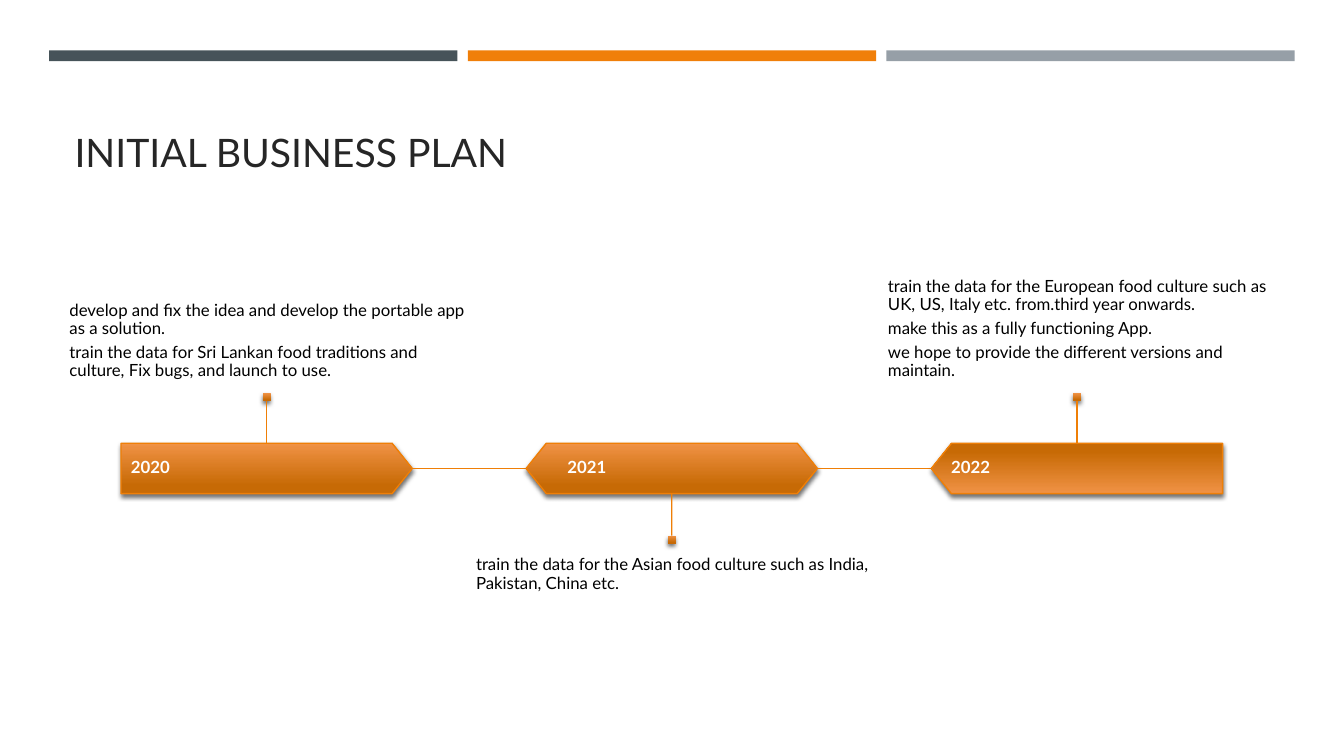
import pptx
import pptx.util
import pptx.dml.color
import pptx.enum.shapes
import pptx.enum.text
import pptx.oxml
import pptx.oxml.ns

Cm, Pt = pptx.util.Cm, pptx.util.Pt
SHAPE = pptx.enum.shapes.MSO_SHAPE
ANCHOR = pptx.enum.text.MSO_ANCHOR
STRAIGHT = pptx.enum.shapes.MSO_CONNECTOR.STRAIGHT
ORANGE = "EF7F07"


def rgb(value):
    return pptx.dml.color.RGBColor.from_string(value)


def add_text(paragraphs, left, top, width, height, margins, anchor, size,
             color="000000", bold=False, spacing=0.9):
    """Add a wrapped text box; margins are (horizontal, vertical) in cm."""
    box = slide.shapes.add_textbox(Cm(left), Cm(top), Cm(width), Cm(height))
    frame = box.text_frame
    frame.word_wrap = True
    frame.vertical_anchor = anchor
    frame.margin_left = frame.margin_right = Cm(margins[0])
    frame.margin_top = frame.margin_bottom = Cm(margins[1])
    frame.text = "\n".join(paragraphs)
    for number, paragraph in enumerate(frame.paragraphs):
        paragraph.line_spacing = spacing
        paragraph.space_before = Pt(4.2 if number else 0)
        paragraph.font.name = "Lato"
        paragraph.font.size = Pt(size)
        paragraph.font.bold = bold
        paragraph.font.color.rgb = rgb(color)
    return frame


prs = pptx.Presentation()
prs.slide_width, prs.slide_height = Cm(33.87), Cm(19.05)
slide = prs.slides.add_slide(prs.slide_layouts[6])

for column, color in enumerate(["465359", "F07F09", "969FA7"]):
    band = slide.shapes.add_shape(
        SHAPE.RECTANGLE, Cm(1.24 + 10.55 * column), Cm(1.27), Cm(10.29), Cm(0.27))
    band.shadow.inherit = False
    band.fill.solid()
    band.fill.fore_color.rgb = rgb(color)
    band.line.fill.background()

add_text(["INITIAL BUSINESS PLAN"], 1.63, 2.34, 30.63, 2.21, (0.25, 0.13),
         ANCHOR.BOTTOM, 28, "262626", spacing=1.0)

# year, outline, rotation, label left, caption above the bar?, caption
milestones = [
    ("2020", SHAPE.PENTAGON, 0, 3.05, True, [
        "develop and fix the idea and develop the portable app as a solution.",
        "train the data for Sri Lankan food traditions and culture, Fix bugs, "
        "and launch to use."]),
    ("2021", SHAPE.HEXAGON, 0, 14.05, False, [
        "train the data for the Asian food culture such as India, Pakistan, China etc."]),
    ("2022", SHAPE.PENTAGON, 180, 23.72, True, [
        "train the data for the European food culture such as UK, US, Italy etc. "
        "from.third year onwards.",
        "make this as a fully functioning App.",
        "we hope to provide the different versions and maintain."]),
]
STEP = 10.21
BAR_TOP, BAR_WIDTH, BAR_HEIGHT = 11.17, 7.34, 1.27
BAR_MIDDLE, BAR_BOTTOM = BAR_TOP + BAR_HEIGHT / 2, BAR_TOP + BAR_HEIGHT
MARKER = 0.2

for index, (year, outline, rotation, label_left, above, caption) in enumerate(milestones):
    bar_left = 3.05 + STEP * index
    center = bar_left + BAR_WIDTH / 2
    marker_top = 9.91 if above else 13.5
    stem_end = BAR_TOP if above else BAR_BOTTOM

    bar = slide.shapes.add_shape(
        outline, Cm(bar_left), Cm(BAR_TOP), Cm(BAR_WIDTH), Cm(BAR_HEIGHT))
    bar.adjustments[0] = 0.4
    bar.rotation = rotation
    bar.line.color.rgb = rgb(ORANGE)
    bar.line.width = Pt(1)

    marker = slide.shapes.add_shape(
        SHAPE.RECTANGLE, Cm(center - MARKER / 2), Cm(marker_top), Cm(MARKER), Cm(MARKER))
    marker.line.fill.background()

    for glossy in (bar, marker):
        glossy.fill.gradient()
        glossy.fill.gradient_angle = 270
        light, dark = glossy.fill.gradient_stops
        light.color.rgb, light.position = rgb("F09245"), 0
        dark.color.rgb, dark.position = rgb("C76A05"), 0.84
        glossy.shadow.inherit = False
        effects = glossy._element.spPr.find(pptx.oxml.ns.qn("a:effectLst"))
        effects.append(pptx.oxml.parse_xml(
            f'<a:outerShdw {pptx.oxml.ns.nsdecls("a")} blurRad="38100" dist="25400" '
            'dir="5400000" rotWithShape="0"><a:srgbClr val="000000">'
            '<a:alpha val="55000"/></a:srgbClr></a:outerShdw>'))

    stem = slide.shapes.add_connector(
        STRAIGHT, Cm(center), Cm(marker_top), Cm(center), Cm(stem_end))
    stem.begin_connect(marker, 2 if above else 0)
    lines = [stem]
    if index < len(milestones) - 1:
        lines.append(slide.shapes.add_connector(
            STRAIGHT, Cm(bar_left + BAR_WIDTH), Cm(BAR_MIDDLE),
            Cm(bar_left + STEP), Cm(BAR_MIDDLE)))
    for line in lines:
        line.line.color.rgb = rgb(ORANGE)
        line.line.width = Pt(1)
        line._element.spPr.append(pptx.oxml.parse_xml(
            f'<a:effectLst {pptx.oxml.ns.nsdecls("a")}/>'))

    add_text([year], label_left, BAR_TOP, 7.09, BAR_HEIGHT, (0.25, 0.25),
             ANCHOR.MIDDLE, 12, "FFFFFF", bold=True)
    caption_frame = add_text(
        caption, 1.63 + STEP * index, 6.5 if above else 13.72, STEP, 3.38,
        (0, 0.3), ANCHOR.BOTTOM if above else ANCHOR.TOP, 12)
    # Centre the left-aligned block of lines within its box
    caption_frame._txBody.bodyPr.set("anchorCtr", "1")

prs.save("out.pptx")
